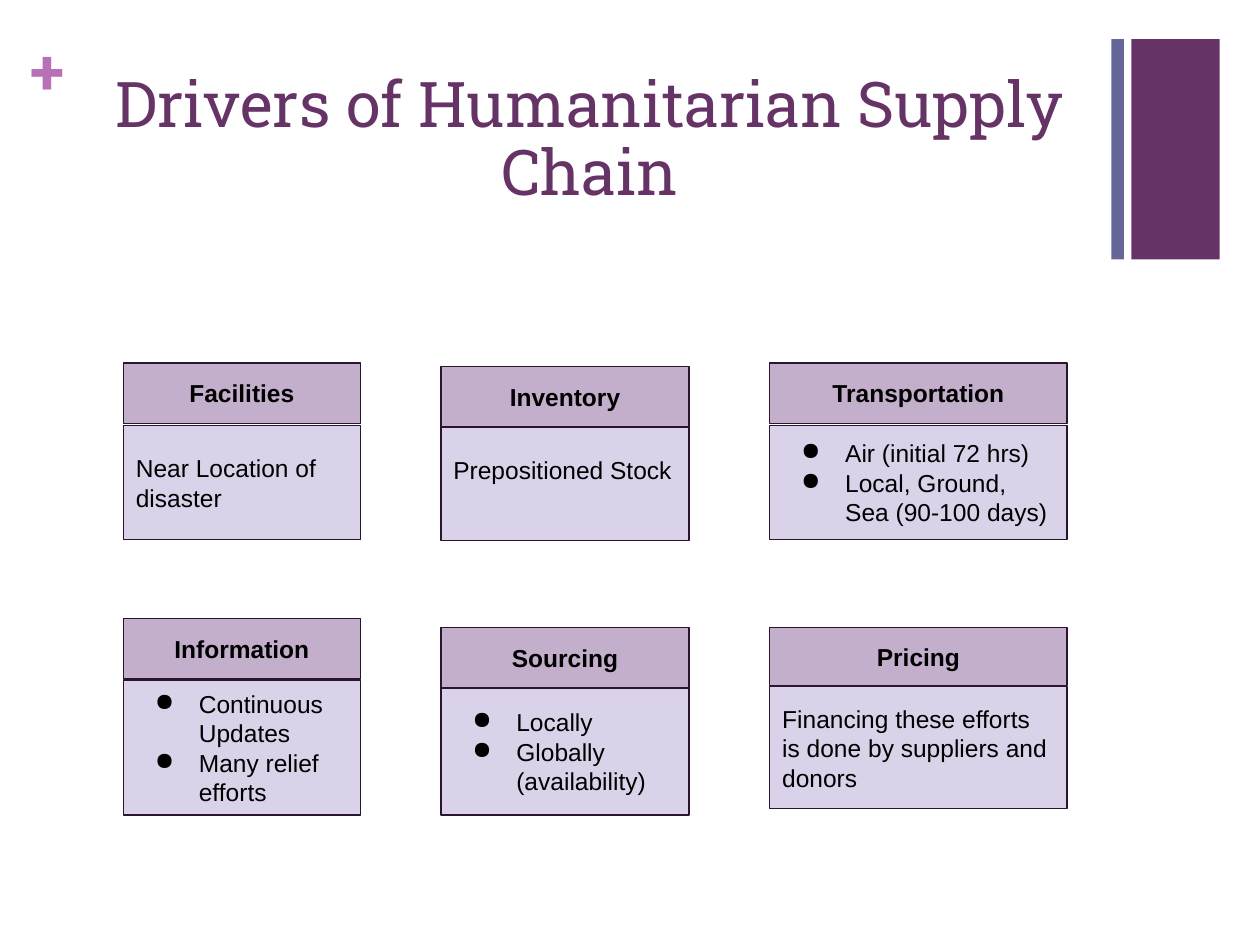
import pptx
import pptx.dml.color
import pptx.enum.shapes
import pptx.enum.text
import pptx.oxml
import pptx.oxml.ns
import pptx.util
from pptx.util import Inches

COLORS = {
    "purple": "663366",
    "slate": "666699",
    "orchid": "B870B8",
    "header": "C3AFCC",
    "body": "D9D2E9",
    "outline": "2B142D",
    "text": "000000",
}
ALIGN = pptx.enum.text.PP_ALIGN
ANCHOR = pptx.enum.text.MSO_ANCHOR

# Left and width of each column of cards
COLUMNS = [(0.98, 1.88), (3.5, 1.97), (6.11, 2.36)]

# Column, header top and height, body top and height, heading, lines, bulleted
CARDS = [
    (0, 2.88, 0.48, 3.38, 0.9, "Facilities",
     ["Near Location of disaster"], False),
    (1, 2.91, 0.48, 3.39, 0.9, "Inventory",
     ["Prepositioned Stock"], False),
    (2, 2.88, 0.48, 3.38, 0.9, "Transportation",
     ["Air (initial 72 hrs)", "Local, Ground, Sea (90-100 days)"], True),
    (0, 4.91, 0.48, 5.4, 1.07, "Information",
     ["Continuous Updates", "Many relief efforts"], True),
    (1, 4.98, 0.48, 5.46, 1.01, "Sourcing",
     ["Locally", "Globally (availability)"], True),
    (2, 4.98, 0.46, 5.45, 0.97, "Pricing",
     ["Financing these efforts is done by suppliers and donors"], False),
]


def rgb(name):
    return pptx.dml.color.RGBColor.from_string(COLORS[name])


def set_font(paragraph, name, size, color, bold=False):
    font = paragraph.font
    font.name = name
    font.size = pptx.util.Pt(size)
    font.bold = bold
    font.color.rgb = rgb(color)


def set_margins(frame, horizontal, vertical):
    frame.margin_left = frame.margin_right = Inches(horizontal)
    frame.margin_top = frame.margin_bottom = Inches(vertical)


def add_bullet(paragraph):
    properties = paragraph._p.get_or_add_pPr()
    properties.set("marL", str(Inches(0.5)))
    properties.set("indent", str(Inches(-0.35)))
    namespace = pptx.oxml.ns.nsdecls("a")
    color = pptx.oxml.parse_xml(
        f'<a:buClr {namespace}><a:srgbClr val="{COLORS["text"]}"/></a:buClr>')
    bullet = pptx.oxml.parse_xml(f'<a:buChar {namespace} char="●"/>')
    # Bullet settings come before the default run properties
    properties.insert(0, color)
    properties.insert(1, bullet)


def add_rectangle(slide, left, top, width, height, fill, outline=None):
    shape = slide.shapes.add_shape(
        pptx.enum.shapes.MSO_SHAPE.RECTANGLE,
        Inches(left), Inches(top), Inches(width), Inches(height))
    shape.shadow.inherit = False
    shape.fill.solid()
    shape.fill.fore_color.rgb = rgb(fill)
    if outline:
        shape.line.color.rgb = rgb(outline)
        shape.line.width = pptx.util.Pt(0.75)
    else:
        shape.line.fill.background()
    return shape


def add_box(slide, bounds, fill, lines, heading=False, bulleted=False):
    frame = add_rectangle(slide, *bounds, fill, "outline").text_frame
    frame.word_wrap = True
    frame.vertical_anchor = ANCHOR.MIDDLE
    set_margins(frame, 0.1, 0.1)
    frame.text = "\n".join(lines)
    for paragraph in frame.paragraphs:
        paragraph.alignment = ALIGN.CENTER if heading else ALIGN.LEFT
        set_font(paragraph, "Arial", 14, "text", bold=heading)
        if bulleted:
            add_bullet(paragraph)
    return frame


def add_card(slide, column, header_top, header_height, body_top, body_height,
             heading, lines, bulleted):
    left, width = COLUMNS[column]
    add_box(slide, (left, header_top, width, header_height), "header",
            [heading], heading=True)
    frame = add_box(slide, (left, body_top, width, body_height), "body",
                    lines, bulleted=bulleted)
    if heading == "Inventory":
        # This line sits one half line above the middle
        frame.margin_bottom = Inches(0.32)


def add_decoration(slide):
    add_rectangle(slide, 8.98, 0.31, 0.7, 1.75, "purple")
    plus = slide.shapes.add_textbox(
        Inches(0.24), Inches(0.25), Inches(0.28), Inches(0.61))
    set_margins(plus.text_frame, 0, 0)
    plus.text_frame.word_wrap = True
    plus.text_frame.text = "+"
    set_font(plus.text_frame.paragraphs[0], "Roboto Slab", 36, "orchid", True)
    add_rectangle(slide, 8.82, 0.31, 0.1, 1.75, "slate")


def set_title(slide, text):
    title = slide.shapes.title
    title.left, title.top = Inches(0.55), Inches(0.53)
    title.width, title.height = Inches(8.26), Inches(1.22)
    frame = title.text_frame
    frame.word_wrap = True
    frame.auto_size = pptx.enum.text.MSO_AUTO_SIZE.NONE
    frame.vertical_anchor = ANCHOR.TOP
    set_margins(frame, 0.1, 0.05)
    frame.text = text
    paragraph = frame.paragraphs[0]
    paragraph.alignment = ALIGN.CENTER
    paragraph.line_spacing = 0.9
    set_font(paragraph, "Roboto Slab", 36, "purple")


def main():
    presentation = pptx.Presentation()
    presentation.slide_width = Inches(10)
    presentation.slide_height = Inches(7.5)
    slide = presentation.slides.add_slide(presentation.slide_layouts[5])

    add_decoration(slide)
    set_title(slide, "Drivers of Humanitarian Supply Chain")
    for card in CARDS:
        add_card(slide, *card)

    presentation.save("out.pptx")


if __name__ == "__main__":
    main()
